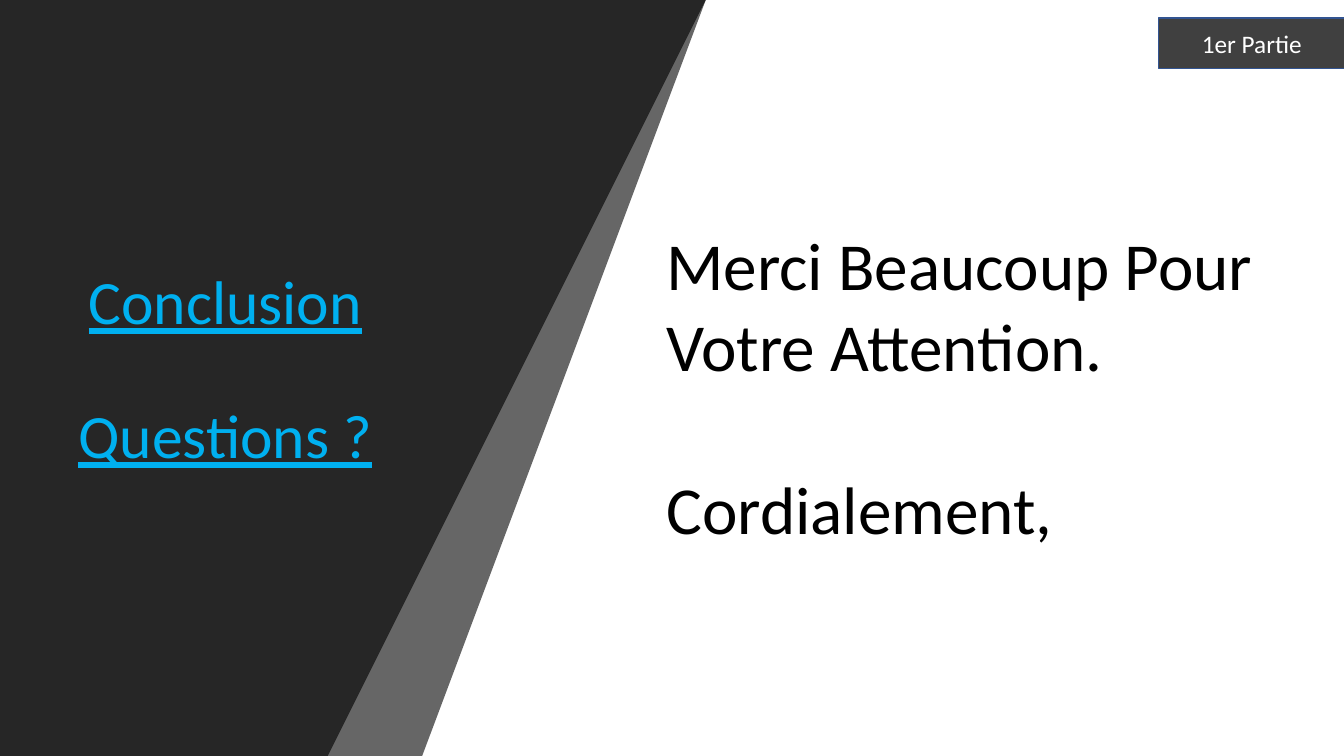
from lxml.etree import SubElement
from pptx import Presentation
from pptx.dml.color import RGBColor
from pptx.enum.shapes import MSO_SHAPE
from pptx.enum.text import MSO_ANCHOR, MSO_AUTO_SIZE, PP_ALIGN
from pptx.oxml.ns import qn
from pptx.util import Inches, Pt

WIDTH, HEIGHT = 13.33, 7.5
BLACK = RGBColor(0x00, 0x00, 0x00)
WHITE = RGBColor(0xFF, 0xFF, 0xFF)
CHARCOAL = RGBColor(0x26, 0x26, 0x26)
TAG_GREY = RGBColor(0x40, 0x40, 0x40)
TAG_BORDER = RGBColor(0x32, 0x54, 0x91)
SKY_BLUE = RGBColor(0x00, 0xB0, 0xF0)

TITLE_LINES = ["Conclusion", "Questions ?"]
THANKS_LINES = ["Merci Beaucoup Pour Votre Attention.", "Cordialement,"]
TAG_LINES = ["1er Partie"]

# Slanted panels: top edge, bottom edge, opacity in percent
PANELS = [(7.39, 3.91, 70), (6.51, 3.04, 100)]

TITLE_BOX = (-0.53, 2.59, 5.53, 2.14)
THANKS_BOX = (6.51, 2.17, 6.41, 3.33)
TAG_BOX = (11.49, 0.18, 1.85, 0.5)

TITLE_FORMAT = {"size": Pt(44), "underline": True, "color": SKY_BLUE}
THANKS_FORMAT = {"size": Pt(48), "color": BLACK}
TAG_FORMAT = {"size": Pt(18), "color": WHITE}

CENTRED = {"alignment": PP_ALIGN.CENTER}
TITLE_PARAGRAPH = {**CENTRED, "line_spacing": 0.9}
TITLE_GAP, THANKS_GAP = Pt(48), Pt(58.5)


def set_all(target, values):
    for name, value in values.items():
        setattr(target, name, value)


def place(shape, box):
    set_all(shape, dict(zip(("left", "top", "width", "height"), map(Inches, box))))


def write(shape, lines, font_format, paragraph_format, frame_format, gap=Pt(0)):
    """Fill a shape with one paragraph per line, with a gap between paragraphs."""
    frame = shape.text_frame
    frame.text = "\n".join(lines)
    set_all(frame, {"word_wrap": True, "auto_size": MSO_AUTO_SIZE.NONE, **frame_format})
    for index, paragraph in enumerate(frame.paragraphs):
        set_all(paragraph, {**paragraph_format, "space_before": gap if index else Pt(0)})
        font = paragraph.runs[0].font
        font.name = "Calibri"
        for name, value in font_format.items():
            if name == "color":
                font.color.rgb = value
            else:
                setattr(font, name, value)


def paint(shape, fill, border=None):
    shape.shadow.inherit = False
    shape.fill.solid()
    shape.fill.fore_color.rgb = fill
    if border is None:
        shape.line.fill.background()
    else:
        shape.line.color.rgb = border
        shape.line.width = Pt(1)


def add_rectangle(slide, box, fill, border=None):
    rectangle = slide.shapes.add_shape(MSO_SHAPE.RECTANGLE, *map(Inches, box))
    paint(rectangle, fill, border)
    return rectangle


def add_panel(slide, top_edge, bottom_edge, opacity):
    builder = slide.shapes.build_freeform(0, 0, scale=Inches(1))
    builder.add_line_segments([(top_edge, 0), (bottom_edge, HEIGHT), (0, HEIGHT)])
    panel = builder.convert_to_shape()
    paint(panel, CHARCOAL)
    if opacity < 100:
        color = panel.element.spPr.find(qn("a:solidFill"))[0]
        SubElement(color, qn("a:alpha"), val=str(opacity * 1000))


def main():
    presentation = Presentation()
    presentation.slide_width = Inches(WIDTH)
    presentation.slide_height = Inches(HEIGHT)
    slide = presentation.slides.add_slide(presentation.slide_layouts[5])
    slide.background.fill.solid()
    slide.background.fill.fore_color.rgb = BLACK

    add_rectangle(slide, (0, 0, WIDTH, HEIGHT), WHITE)
    for panel in PANELS:
        add_panel(slide, *panel)

    title = slide.shapes.title
    slide.shapes.element.append(title.element)  # bring in front of the panels
    place(title, TITLE_BOX)
    write(title, TITLE_LINES, TITLE_FORMAT, TITLE_PARAGRAPH,
          {"vertical_anchor": MSO_ANCHOR.BOTTOM}, TITLE_GAP)

    tag = add_rectangle(slide, TAG_BOX, TAG_GREY, TAG_BORDER)
    write(tag, TAG_LINES, TAG_FORMAT, CENTRED, {"vertical_anchor": MSO_ANCHOR.MIDDLE})

    thanks = slide.shapes.add_textbox(*map(Inches, THANKS_BOX))
    write(thanks, THANKS_LINES, THANKS_FORMAT, {},
          {"auto_size": MSO_AUTO_SIZE.SHAPE_TO_FIT_TEXT}, THANKS_GAP)

    presentation.save("out.pptx")


if __name__ == "__main__":
    main()
